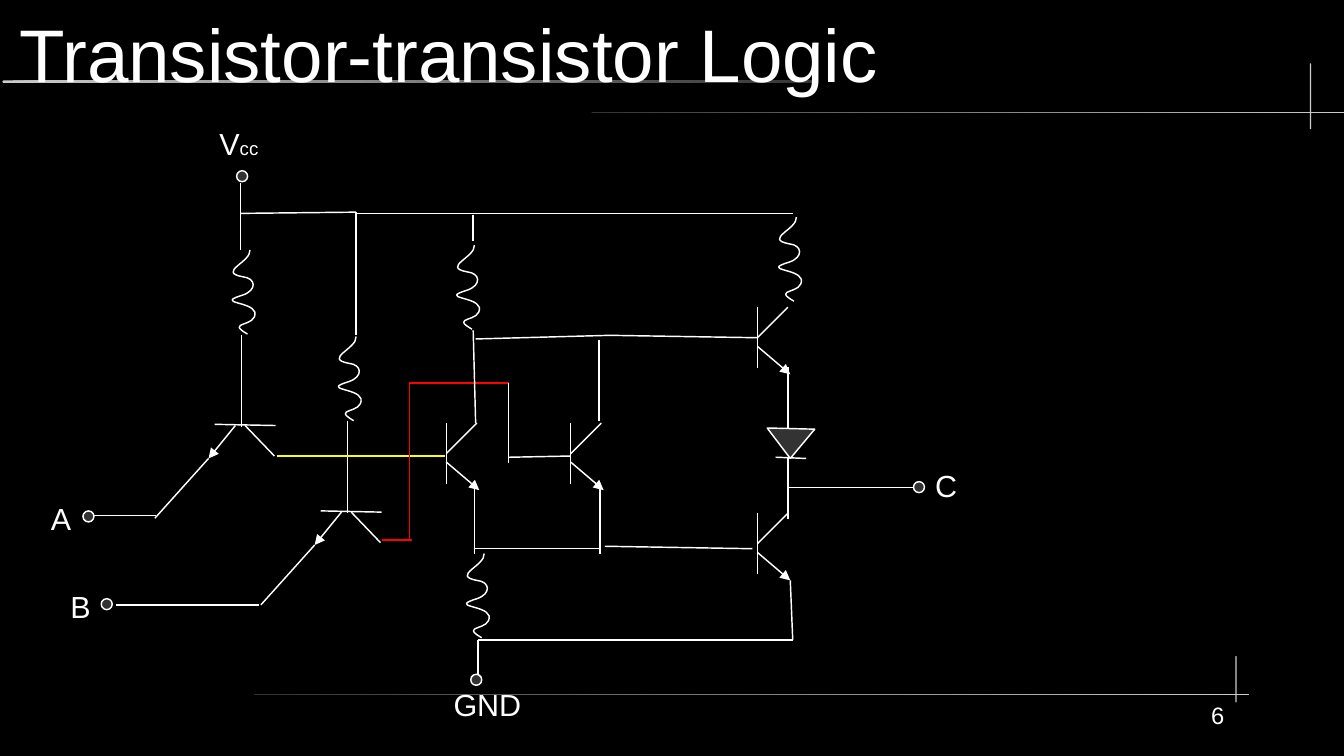
"""Build the slide with the circuit of transistor-transistor logic."""
from typing import NamedTuple

from lxml.etree import SubElement as Sub
from pptx import Presentation
from pptx.dml.color import RGBColor
from pptx.enum.shapes import MSO_CONNECTOR as Link, MSO_SHAPE as Form
from pptx.enum.text import MSO_ANCHOR as Anchor, MSO_AUTO_SIZE as Auto, PP_ALIGN as Align
from pptx.oxml.ns import qn
from pptx.util import Cm, Pt

HUES = {"ink": "FFFFFF", "back": "000000", "dark": "333333", "pale": "CCCCCC",
        "gold": "FFFF00", "red": "FF0000"}
Spot = tuple[float, float]


class Rule(NamedTuple):
    x: float
    y: float
    wide: float
    high: float
    start: str
    end: str


class Wire(NamedTuple):
    x1: float
    y1: float
    x2: float
    y2: float
    hue: str = "ink"
    arrow: bool = False


class Label(NamedTuple):
    text: str
    x: float
    y: float
    wide: float
    high: float = 0.38
    size: int = 18
    inset: bool = True
    align: Align = Align.LEFT
    anchor: Anchor = Anchor.TOP
    small: str = ""


RULES = [
    Rule(0.02, 0.66, 6.69, 0.02, "pale", "dark"),
    Rule(4.85, 0.92, 6.21, 0.01, "dark", "pale"),
    Rule(10.74, 0.52, 0.01, 0.54, "pale", "pale"),
    Rule(2.08, 5.69, 8.16, 0.01, "dark", "pale"),
    Rule(10.13, 5.38, 0.01, 0.38, "pale", "pale"),
]
UPRIGHT = [Wire(0.25, 0, 0, 0.25), Wire(0.27, 0.55, 0, 0.32, arrow=True), Wire(0, 0, 0, 0.5)]
FLAT = [Wire(0.49, 0.26, 0.25, 0.01), Wire(-0.05, 0.28, 0.17, 0.01, arrow=True),
        Wire(0.5, 0.01, 0, 0), Wire(-0.05, 0.28, -0.49, 0.77)]
GATES = [(FLAT, 1.76, 3.48), (FLAT, 2.63, 4.19), (UPRIGHT, 3.66, 3.47),
         (UPRIGHT, 4.68, 3.47), (UPRIGHT, 6.21, 2.52), (UPRIGHT, 6.21, 4.21)]
WIRES = [
    Wire(0.74, 4.23, 1.28, 4.23), Wire(0.95, 4.96, 2.12, 4.96),
    Wire(1.97, 2.05, 1.97, 1.5), Wire(1.98, 2.75, 1.98, 3.5),
    Wire(2.92, 2.75, 2.92, 1.74), Wire(2.85, 3.45, 2.85, 4.21),
    Wire(1.97, 1.75, 2.92, 1.74), Wire(2.27, 3.74, 3.65, 3.74, "gold"),
    Wire(3.92, 5.25, 3.92, 5.55), Wire(3.89, 4.54, 3.89, 3.98),
    Wire(4.17, 3.75, 4.68, 3.74), Wire(4.92, 4.54, 4.92, 3.98),
    Wire(3.89, 4.5, 4.92, 4.5), Wire(3.13, 4.43, 3.38, 4.43, "red"),
    Wire(3.36, 3.13, 3.36, 4.43, "red"), Wire(3.36, 3.14, 4.17, 3.14, "red"),
    Wire(4.17, 3.14, 4.17, 3.8), Wire(2.92, 1.75, 6.5, 1.75),
    Wire(3.88, 1.76, 3.88, 1.98), Wire(3.88, 2.71, 3.9, 3.47),
    Wire(3.9, 2.78, 5, 2.75), Wire(4.91, 2.79, 4.91, 3.45),
    Wire(5, 2.75, 6.21, 2.77), Wire(4.96, 4.48, 6.17, 4.5),
    Wire(6.48, 4.76, 6.5, 5.25), Wire(3.92, 5.25, 6.5, 5.25),
    Wire(6.46, 3.01, 6.46, 3.51), Wire(6.46, 3.76, 6.46, 4.26),
    Wire(6.46, 4, 7.5, 4),
]
COILS = [(1.91, 2.05), (2.78, 2.76), (3.83, 4.54), (3.75, 2.01), (6.39, 1.78)]
BENDS = [
    [(0.15, 0.1), (-0.13, 0.18), (0.08, 0.22)],
    [(0.19, 0.23), (0.2, 0.33), (0.08, 0.37)],
    [(-0.15, 0.44), (0.15, 0.42), (0.18, 0.51)],
    [(0.2, 0.64), (-0.07, 0.58), (0.12, 0.69)],
]
DIODE = [[(6.48, 3.76), (6.29, 3.51), (6.68, 3.52), (6.48, 3.76)], [(6.36, 3.75), (6.61, 3.76)]]
PORTS = [(1.94, 1.4), (0.68, 4.19), (0.83, 4.91), (3.86, 5.53), (7.49, 3.95)]
LABELS = [
    Label("Transistor-transistor Logic", 0.16, 0.08, 10.43, 0.71, 44, False, anchor=Anchor.MIDDLE),
    Label("V", 1.7, 0.98, 0.52, small="cc"),
    Label("A", 0.32, 4.05, 0.36),
    Label("B", 0.48, 4.77, 0.36),
    Label("C", 7.57, 3.78, 0.38),
    Label("GND", 3.62, 5.58, 0.78),
    Label("6", 8.27, 5.75, 1.77, 0.45, 14, False, Align.RIGHT),
]


def inch(size: float) -> Cm:
    return Cm(size * 2.54)


def tint(name: str) -> RGBColor:
    return RGBColor.from_string(HUES[name])


def paint(fill, hue: str) -> None:
    fill.solid()
    fill.fore_color.rgb = tint(hue)


def stroke(line, hue: str = "ink") -> None:
    line.color.rgb = tint(hue)
    line.width = Pt(0.85)


def draw_rule(rule: Rule) -> None:
    bar = shapes.add_shape(Form.ROUNDED_RECTANGLE, *map(inch, rule[:4]))
    bar.adjustments[0] = 0.5
    bar.shadow.inherit = False
    bar.line.fill.background()
    if rule.start == rule.end:
        paint(bar.fill, rule.start)
        return
    bar.fill.gradient()
    bar.fill.gradient_angle = 0
    for stop, hue in zip(bar.fill.gradient_stops, (rule.start, rule.end)):
        stop.color.rgb = tint(hue)


def draw_wire(wire: Wire, x: float = 0, y: float = 0) -> None:
    ends = (wire.x1 + x, wire.y1 + y, wire.x2 + x, wire.y2 + y)
    link = shapes.add_connector(Link.STRAIGHT, *map(inch, ends))
    stroke(link.line, wire.hue)
    if wire.arrow:
        Sub(link.line._get_or_add_ln(), qn("a:headEnd"), type="triangle")
    Sub(link._element.spPr, qn("a:effectLst"))


def trace(paths: list[list[Spot]]):
    pens = [[(inch(x), inch(y)) for x, y in path] for path in paths]
    pen = shapes.build_freeform(*pens[0][0])
    pen.add_line_segments(pens[0][1:], close=False)
    for path in pens[1:]:
        pen.move_to(*path[0])
        pen.add_line_segments(path[1:], close=False)
    form = pen.convert_to_shape()
    form.shadow.inherit = False
    stroke(form.line)
    return form


def draw_coil(x: float, y: float) -> None:
    coil = trace([[(x + 0.14, y), (x, y + 0.3), (x + 0.18, y + 0.69)]])
    coil.fill.background()
    track = next(coil._element.iter(qn("a:path")))
    for line in track.findall(qn("a:lnTo")):
        track.remove(line)
    for bend in BENDS:
        curve = Sub(track, qn("a:cubicBezTo"))
        for dx, dy in bend:
            Sub(curve, qn("a:pt"), x=str(int(inch(dx))), y=str(int(inch(dy))))


def draw_port(x: float, y: float) -> None:
    ring = shapes.add_shape(Form.OVAL, inch(x), inch(y), inch(0.09), inch(0.09))
    ring.shadow.inherit = False
    paint(ring.fill, "dark")
    stroke(ring.line)


def write(label: Label) -> None:
    box = shapes.add_textbox(*map(inch, label[1:5]))
    frame = box.text_frame
    frame.word_wrap = not label.inset
    frame.auto_size = Auto.SHAPE_TO_FIT_TEXT if label.inset else Auto.NONE
    frame.vertical_anchor = label.anchor
    frame.margin_left = frame.margin_right = inch(0.1 if label.inset else 0)
    frame.margin_top = frame.margin_bottom = inch(0.05 if label.inset else 0)
    para = frame.paragraphs[0]
    para.alignment = label.align
    para.font.name = "Arial"
    para.font.size = Pt(label.size)
    para.font.color.rgb = tint("ink")
    para.add_run().text = label.text
    if label.small:
        run = para.add_run()
        run.text = label.small
        run.font.size = Pt(11)


deck = Presentation()
deck.slide_width, deck.slide_height = inch(11.02), inch(6.2)
slide = deck.slides.add_slide(deck.slide_layouts[6])
paint(slide.background.fill, "back")
shapes = slide.shapes
for rule in RULES:
    draw_rule(rule)
for gate, x, y in GATES:
    for wire in gate:
        draw_wire(wire, x, y)
for wire in WIRES:
    draw_wire(wire)
for spot in COILS:
    draw_coil(*spot)
paint(trace(DIODE).fill, "dark")
for spot in PORTS:
    draw_port(*spot)
for label in LABELS:
    write(label)
deck.save("out.pptx")
